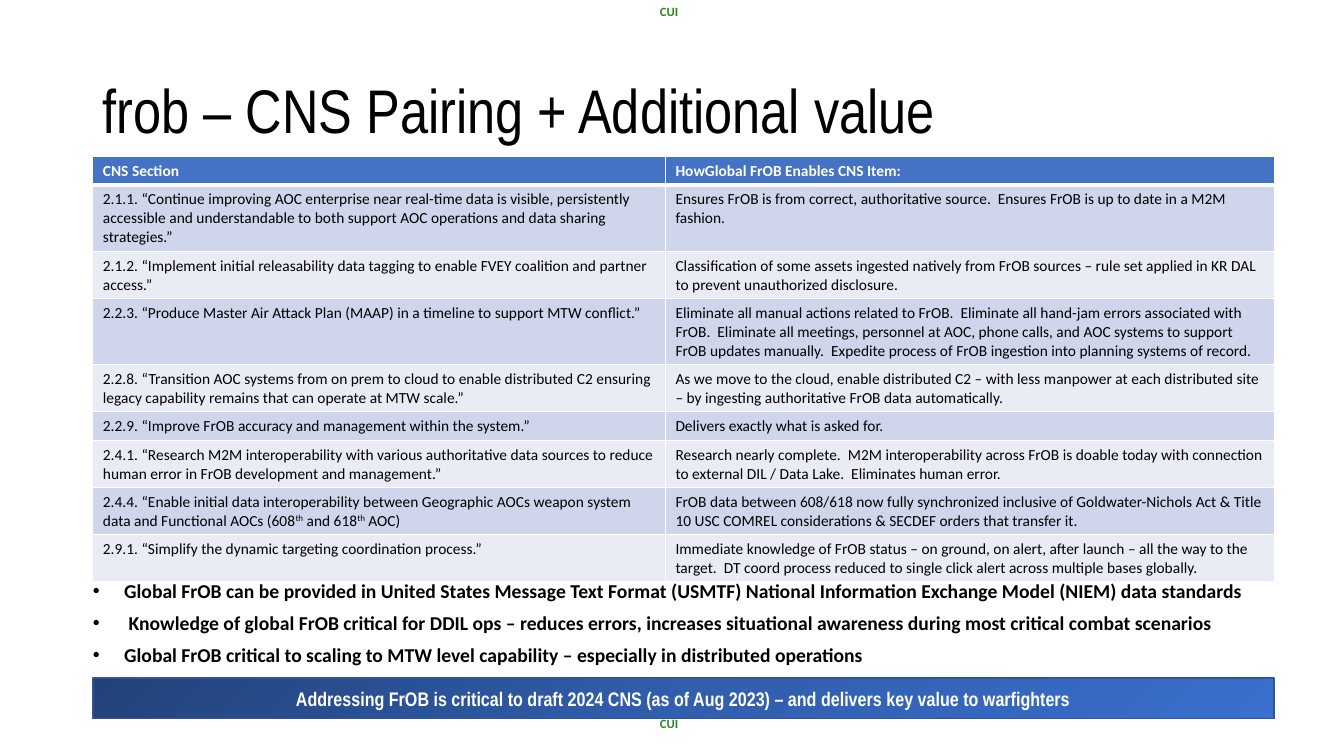
from copy import deepcopy
from dataclasses import dataclass

from lxml.etree import SubElement
from pptx import Presentation
from pptx.dml.color import RGBColor
from pptx.enum.shapes import MSO_SHAPE
from pptx.enum.text import MSO_ANCHOR, MSO_AUTO_SIZE, PP_ALIGN
from pptx.oxml.ns import qn
from pptx.util import Cm, Pt


@dataclass(frozen=True)
class Theme:
    heading: str = "Arial Narrow"
    body: str = "Calibri"
    black: str = "000000"
    white: str = "FFFFFF"
    marking: str = "2C8320"
    header: str = "4472C4"
    bands: tuple = ("CFD5EA", "E9EBF5")
    banner: tuple = ("23427A", "315EAD", "3A6FCE")
    banner_line: str = "325491"
    title_size: int = 44
    text_size: int = 14
    table_size: int = 11
    marking_size: int = 9


THEME = Theme()
LEFT, WIDTH = Cm(2.34), Cm(29.77)
COLUMNS = (Cm(14.43), Cm(15.34))

# Text lines in the row, CNS section, how it is enabled; ^ encloses superscripts
ROWS = [
    (1, "CNS Section", "HowGlobal FrOB Enables CNS Item:"),
    (3, "2.1.1. “Continue improving AOC enterprise near real-time data is visible, persistently accessible "
        "and understandable to both support AOC operations and data sharing strategies.”",
     "Ensures FrOB is from correct, authoritative source.  Ensures FrOB is up to date in a M2M fashion."),
    (2, "2.1.2. “Implement initial releasability data tagging to enable FVEY coalition and partner access.”",
     "Classification of some assets ingested natively from FrOB sources – rule set applied in KR DAL "
     "to prevent unauthorized disclosure."),
    (3, "2.2.3. “Produce Master Air Attack Plan (MAAP) in a timeline to support MTW conflict.”",
     "Eliminate all manual actions related to FrOB.  Eliminate all hand-jam errors associated with FrOB.  "
     "Eliminate all meetings, personnel at AOC, phone calls, and AOC systems to support FrOB updates "
     "manually.  Expedite process of FrOB ingestion into planning systems of record."),
    (2, "2.2.8. “Transition AOC systems from on prem to cloud to enable distributed C2 ensuring legacy "
        "capability remains that can operate at MTW scale.”",
     "As we move to the cloud, enable distributed C2 – with less manpower at each distributed site – "
     "by ingesting authoritative FrOB data automatically."),
    (1, "2.2.9. “Improve FrOB accuracy and management within the system.”",
     "Delivers exactly what is asked for."),
    (2, "2.4.1. “Research M2M interoperability with various authoritative data sources to reduce human "
        "error in FrOB development and management.”",
     "Research nearly complete.  M2M interoperability across FrOB is doable today with connection to "
     "external DIL / Data Lake.  Eliminates human error."),
    (2, "2.4.4. “Enable initial data interoperability between Geographic AOCs weapon system data and "
        "Functional AOCs (608^th^ and 618^th^ AOC)",
     "FrOB data between 608/618 now fully synchronized inclusive of Goldwater-Nichols Act & Title 10 "
     "USC COMREL considerations & SECDEF orders that transfer it."),
    (2, "2.9.1. “Simplify the dynamic targeting coordination process.”",
     "Immediate knowledge of FrOB status – on ground, on alert, after launch – all the way to the "
     "target.  DT coord process reduced to single click alert across multiple bases globally."),
]
BENEFITS = [
    "Global FrOB can be provided in United States Message Text Format (USMTF) National Information "
    "Exchange Model (NIEM) data standards",
    " Knowledge of global FrOB critical for DDIL ops – reduces errors, increases situational awareness "
    "during most critical combat scenarios",
    "Global FrOB critical to scaling to MTW level capability – especially in distributed operations",
]


def rgb(color):
    return RGBColor.from_string(color)


def add_run(p, text, size, color, font=THEME.body, bold=False):
    r = p.add_run()
    r.text = text
    r.font.name, r.font.size, r.font.bold = font, Pt(size), bold
    r.font.color.rgb = rgb(color)
    return r


def add_title(s, text):
    tf = s.shapes.add_textbox(LEFT, Cm(1.02), Cm(29.21), Cm(3.68)).text_frame
    tf.word_wrap, tf.vertical_anchor = True, MSO_ANCHOR.MIDDLE
    p = tf.paragraphs[0]
    p.line_spacing = 0.9
    add_run(p, text, THEME.title_size, THEME.black, THEME.heading)


def add_marking(s, top):
    tf = s.shapes.add_textbox(Cm(16.38), top, Cm(1.09), Cm(0.64)).text_frame
    tf.word_wrap, tf.auto_size = False, MSO_AUTO_SIZE.SHAPE_TO_FIT_TEXT
    add_run(tf.paragraphs[0], "CUI", THEME.marking_size, THEME.marking, bold=True)


def add_borders(cell, top, bottom):
    """Draw white borders, given the top and bottom widths in points."""
    tcPr = cell._tc.get_or_add_tcPr()
    for side, width in (("L", 1), ("R", 1), ("T", top), ("B", bottom)):
        ln = SubElement(tcPr, qn(f"a:ln{side}"), w=str(Pt(width)))
        fill = SubElement(ln, qn("a:solidFill"))
        SubElement(fill, qn("a:srgbClr"), val=THEME.white)


def add_cell_text(cell, text, color, bold):
    p = cell.text_frame.paragraphs[0]
    for i, part in enumerate(text.split("^")):
        r = add_run(p, part, THEME.table_size, color, bold=bold)
        if i % 2:
            r.font._element.set("baseline", "30000")


def add_pairing_table(s):
    heights = [Cm(0.2 + 0.49 * lines) for lines, *_ in ROWS]
    table = s.shapes.add_table(len(ROWS), len(COLUMNS), LEFT, Cm(3.94), WIDTH, sum(heights)).table
    table.horz_banding = False
    for column, width in zip(table.columns, COLUMNS):
        column.width = width
    for i, (_, *texts) in enumerate(ROWS):
        table.rows[i].height = heights[i]
        is_header = i == 0
        for j, text in enumerate(texts):
            cell = table.cell(i, j)
            add_borders(cell, 3 if i == 1 else 1, 3 if is_header else 1)
            cell.fill.solid()
            cell.fill.fore_color.rgb = rgb(THEME.header if is_header else THEME.bands[(i - 1) % 2])
            add_cell_text(cell, text, THEME.white if is_header else THEME.black, is_header)


def add_bullets(s, texts):
    tf = s.shapes.add_textbox(LEFT, Cm(14.6), WIDTH, Cm(2.49)).text_frame
    tf.word_wrap = True
    tf.margin_left = tf.margin_right = tf.margin_top = tf.margin_bottom = 0
    for i, text in enumerate(texts):
        p = tf.add_paragraph() if i else tf.paragraphs[0]
        p.space_before = Pt(6 if i else 0)
        pPr = p._p.get_or_add_pPr()
        pPr.set("marL", str(Cm(0.79)))
        pPr.set("indent", str(-Cm(0.79)))
        SubElement(pPr, qn("a:buFont"), typeface="Arial")
        SubElement(pPr, qn("a:buChar"), char="•")
        add_run(p, text, THEME.text_size, THEME.black, bold=True)


def fill_gradient(sp, colors):
    """Spread three colours evenly from the top left to the bottom right."""
    sp.fill.gradient()
    sp.fill.gradient_angle = 315
    first = sp._element.spPr.find(".//" + qn("a:gs"))
    first.addnext(deepcopy(first))
    for i, (stop, color) in enumerate(zip(sp.fill.gradient_stops, colors)):
        stop.position = i / (len(colors) - 1)
        stop.color.rgb = rgb(color)


def add_banner(s, text):
    sp = s.shapes.add_shape(MSO_SHAPE.RECTANGLE, LEFT, Cm(17.09), WIDTH, Cm(1.02))
    sp.shadow.inherit = False
    fill_gradient(sp, THEME.banner)
    sp.line.color.rgb, sp.line.width = rgb(THEME.banner_line), Pt(1)
    tf = sp.text_frame
    tf.word_wrap, tf.vertical_anchor = True, MSO_ANCHOR.MIDDLE
    p = tf.paragraphs[0]
    p.alignment = PP_ALIGN.CENTER
    add_run(p, text, THEME.text_size, THEME.white, THEME.heading, bold=True)


def main():
    prs = Presentation()
    prs.slide_width, prs.slide_height = Cm(33.87), Cm(19.05)
    s = prs.slides.add_slide(prs.slide_layouts[6])
    add_title(s, "frob – CNS Pairing + Additional value")
    for top in (Cm(-0.03), Cm(17.91)):
        add_marking(s, top)
    add_pairing_table(s)
    add_banner(s, "Addressing FrOB is critical to draft 2024 CNS (as of Aug 2023) – "
                  "and delivers key value to warfighters")
    add_bullets(s, BENEFITS)
    prs.save("out.pptx")


if __name__ == "__main__":
    main()
